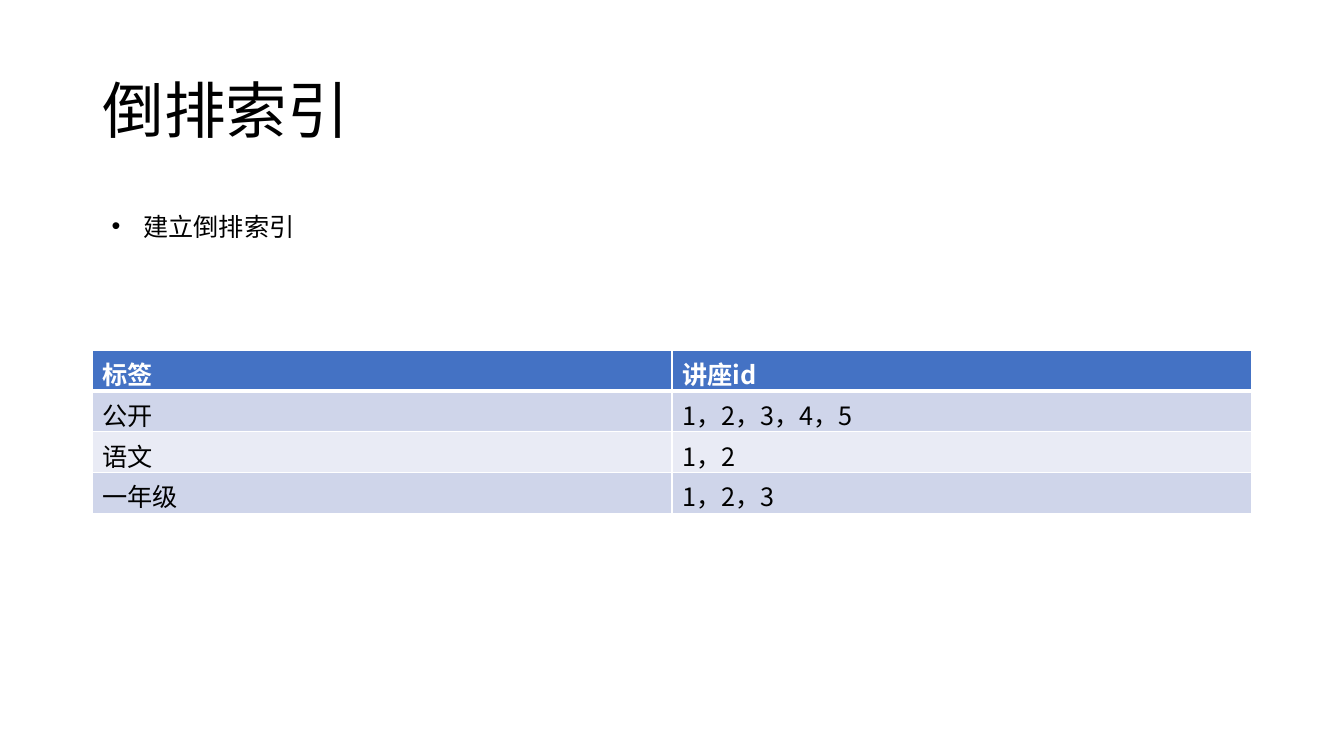
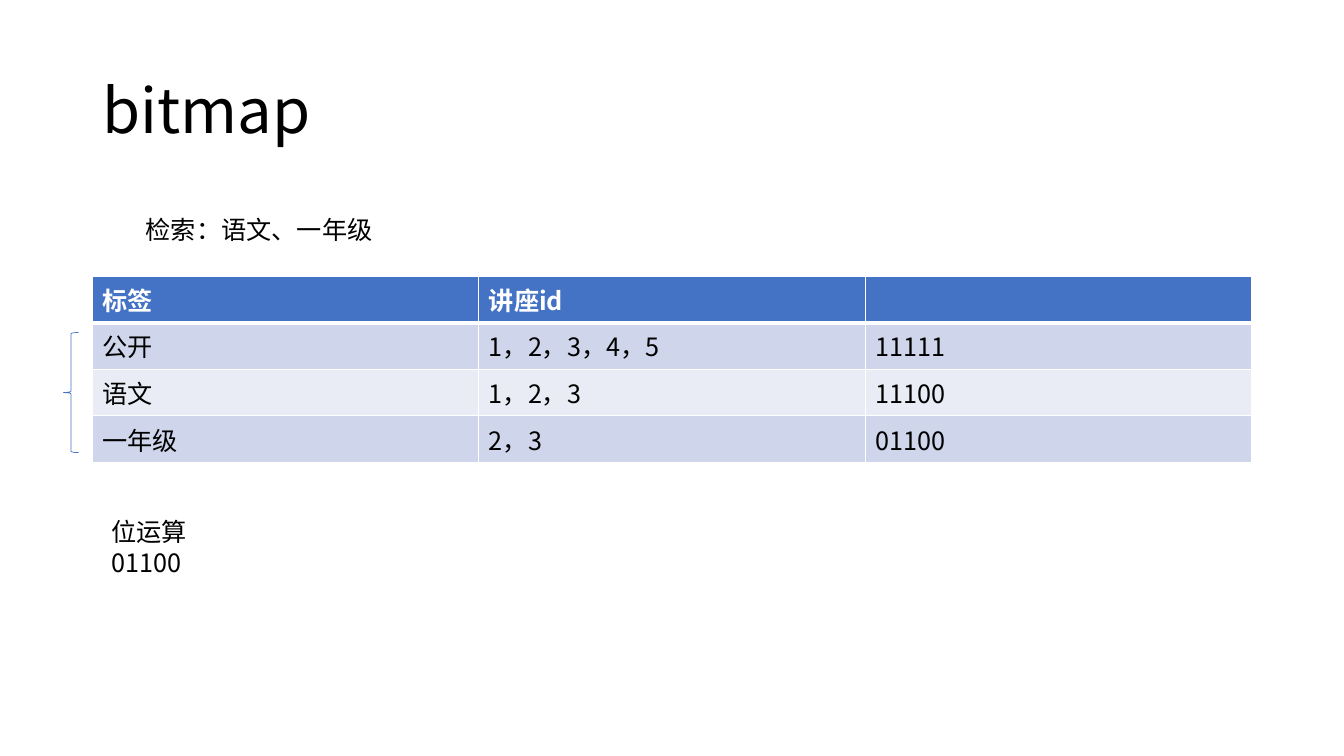
from dataclasses import dataclass
from typing import Optional

from pptx import Presentation
from pptx.dml.color import RGBColor
from pptx.enum import shapes, text
from pptx.oxml import ns, xmlchemy
from pptx.util import Pt


# Theme: colours, type and the lines every slide keeps to
@dataclass(frozen=True)
class Theme:
    font: str = "Noto Sans CJK SC"
    title_size: float = 44
    text_size: float = 18
    ink: str = "000000"
    paper: str = "FFFFFF"
    accent: str = "4472C4"
    bands: tuple[str, str] = ("CFD5EA", "E9EBF5")
    thin_rule: float = 1
    header_rule: float = 3
    brace_line: float = 0.5


@dataclass(frozen=True)
class Box:
    left: float
    top: float
    width: float
    height: float

    def lengths(self) -> tuple[Pt, Pt, Pt, Pt]:
        return Pt(self.left), Pt(self.top), Pt(self.width), Pt(self.height)


@dataclass(frozen=True)
class Note:
    words: str
    box: Box


@dataclass(frozen=True)
class IndexPage:
    title: str
    table_top: float
    rows: list[list[str]]
    bullet: Optional[Note] = None
    notes: tuple[Note, ...] = ()
    brace: Optional[Box] = None


THEME = Theme()
TITLE_BOX = Box(66, 28.75, 828, 104.4)
ROW_HEIGHT = 29.2
BULLET_INDENT = 22.5
TITLE_AND_BODY, TITLE_ONLY = 1, 5

PAGES = [
    IndexPage(
        title="倒排索引",
        table_top=250,
        rows=[
            ["标签", "讲座id"],
            ["公开", "1，2，3，4，5"],
            ["语文", "1，2"],
            ["一年级", "1，2，3"],
        ],
        bullet=Note("建立倒排索引", Box(72.6, 147, 711, 29)),
    ),
    IndexPage(
        title="bitmap",
        table_top=197.2,
        rows=[
            ["标签", "讲座id", ""],
            ["公开", "1，2，3，4，5", "11111"],
            ["语文", "1，2，3", "11100"],
            ["一年级", "2，3", "01100"],
        ],
        notes=(
            Note("位运算\v01100", Box(72.6, 365.5, 132, 29)),
            Note("检索：语文、一年级", Box(97, 149.5, 178, 29)),
        ),
        brace=Box(45.3, 237.5, 10.8, 85.8),
    ),
]


def rgb(colour: str) -> RGBColor:
    return RGBColor.from_string(colour)


# Text
def write(frame, words: str, *, size: float = THEME.text_size,
          colour: str = THEME.ink, bold: bool = False,
          spacing: float = 1.0):
    """Fill a text frame with one formatted paragraph and return it."""
    frame.text = words
    para = frame.paragraphs[0]
    para.alignment = text.PP_ALIGN.LEFT
    para.line_spacing = spacing
    para.space_before = para.space_after = Pt(0)
    for span in para.runs:
        span.font.name = THEME.font
        span.font.size = Pt(size)
        span.font.bold = bold
        span.font.color.rgb = rgb(colour)
        east_asian = xmlchemy.OxmlElement("a:ea")
        east_asian.set("typeface", THEME.font)
        span.font._element.find(ns.qn("a:latin")).addnext(east_asian)
    return para


def place(shape, box: Box) -> None:
    shape.left, shape.top, shape.width, shape.height = box.lengths()


def add_title(page, words: str) -> None:
    place(page.shapes.title, TITLE_BOX)
    frame = page.shapes.title.text_frame
    frame.auto_size = text.MSO_AUTO_SIZE.NONE
    frame.vertical_anchor = text.MSO_ANCHOR.MIDDLE
    write(frame, words, size=THEME.title_size, spacing=0.9)


def add_bullet(page, bullet: Note) -> None:
    body = page.placeholders[1]
    place(body, bullet.box)
    body.text_frame.auto_size = text.MSO_AUTO_SIZE.SHAPE_TO_FIT_TEXT
    para = write(body.text_frame, bullet.words)
    properties = para._p.get_or_add_pPr()
    properties.set("marL", str(Pt(BULLET_INDENT)))
    properties.set("indent", str(-Pt(BULLET_INDENT)))
    for tag, key, value in (("a:buFont", "typeface", "Arial"),
                            ("a:buChar", "char", "•")):
        mark = xmlchemy.OxmlElement(tag)
        mark.set(key, value)
        properties.append(mark)


def add_note(page, note: Note) -> None:
    frame = page.shapes.add_textbox(*note.box.lengths()).text_frame
    frame.word_wrap = False
    frame.auto_size = text.MSO_AUTO_SIZE.SHAPE_TO_FIT_TEXT
    write(frame, note.words)


# Table
def set_borders(cell, *, top: float, bottom: float) -> None:
    properties = cell._tc.get_or_add_tcPr()
    widths = {"a:lnL": THEME.thin_rule, "a:lnR": THEME.thin_rule,
              "a:lnT": top, "a:lnB": bottom}
    for tag, width in widths.items():
        line = xmlchemy.OxmlElement(tag)
        line.set("w", str(Pt(width)))
        fill = xmlchemy.OxmlElement("a:solidFill")
        colour = xmlchemy.OxmlElement("a:srgbClr")
        colour.set("val", THEME.paper)
        fill.append(colour)
        line.append(fill)
        properties.append(line)


def add_index_table(page, top: float, rows: list[list[str]]) -> None:
    box = Box(TITLE_BOX.left, top, TITLE_BOX.width, ROW_HEIGHT * len(rows))
    table = page.shapes.add_table(len(rows), len(rows[0]), *box.lengths()).table
    for row_number, row in enumerate(rows):
        header = row_number == 0
        fill = THEME.accent if header else THEME.bands[(row_number - 1) % 2]
        for column_number, words in enumerate(row):
            cell = table.cell(row_number, column_number)
            set_borders(
                cell,
                top=THEME.header_rule if row_number == 1 else THEME.thin_rule,
                bottom=THEME.header_rule if header else THEME.thin_rule,
            )
            cell.fill.solid()
            cell.fill.fore_color.rgb = rgb(fill)
            write(cell.text_frame, words, bold=header,
                  colour=THEME.paper if header else THEME.ink)


# Brace beside the table rows
def add_brace(page, box: Box) -> None:
    brace = page.shapes.add_shape(shapes.MSO_SHAPE.LEFT_BRACE, *box.lengths())
    brace.shadow.inherit = False
    brace.fill.background()
    brace.line.color.rgb = rgb(THEME.accent)
    brace.line.width = Pt(THEME.brace_line)


def add_page(deck, content: IndexPage) -> None:
    layout = TITLE_AND_BODY if content.bullet else TITLE_ONLY
    page = deck.slides.add_slide(deck.slide_layouts[layout])
    add_title(page, content.title)
    add_index_table(page, content.table_top, content.rows)
    if content.bullet:
        add_bullet(page, content.bullet)
    for note in content.notes:
        add_note(page, note)
    if content.brace:
        add_brace(page, content.brace)


def main() -> None:
    deck = Presentation()
    deck.slide_width, deck.slide_height = Pt(960), Pt(540)
    for content in PAGES:
        add_page(deck, content)
    deck.save("out.pptx")


if __name__ == "__main__":
    main()
